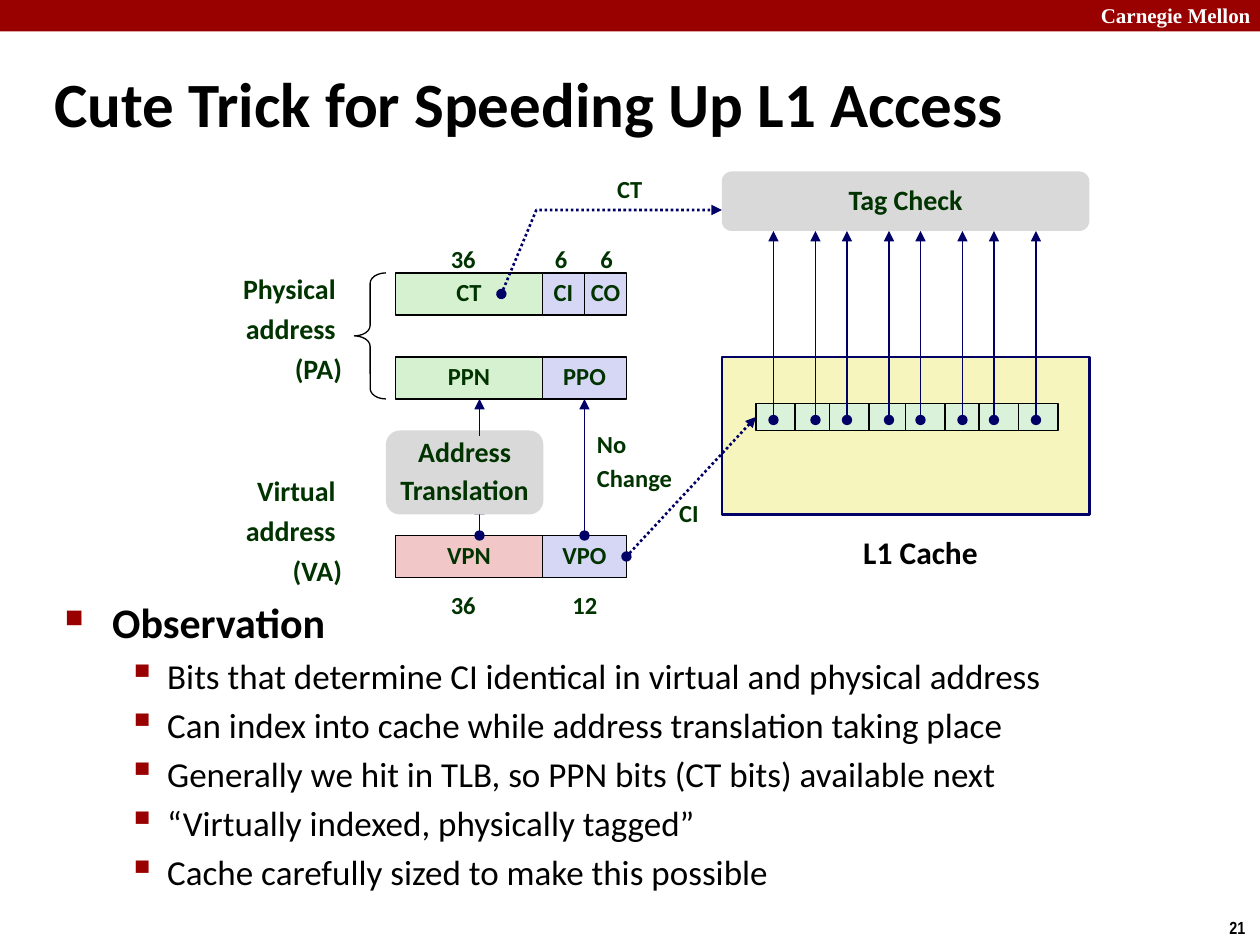
from lxml.etree import SubElement
from pptx import Presentation
from pptx.dml.color import RGBColor
from pptx.enum.dml import MSO_LINE
from pptx.enum.shapes import MSO_CONNECTOR, MSO_SHAPE
from pptx.enum.text import MSO_ANCHOR, PP_ALIGN
from pptx.oxml.ns import qn
from pptx.util import Pt

COLORS = {
    "red": "990000", "white": "FFFFFF", "black": "000000", "ink": "003300",
    "navy": "000066", "green": "D5F1CF", "blue": "D6D6F5", "pink": "F1C7C7",
    "gray": "D9D9D9", "cream": "F6F5BD", "mint": "DBF2DA",
}
LEFT, CENTER, RIGHT = PP_ALIGN.LEFT, PP_ALIGN.CENTER, PP_ALIGN.RIGHT
POINTS = [
    "Bits that determine CI identical in virtual and physical address",
    "Can index into cache while address translation taking place",
    "Generally we hit in TLB, so PPN bits (CT bits) available next",
    "“Virtually indexed, physically tagged”",
    "Cache carefully sized to make this possible",
]
TAG_X, TAG_W = 412.5, 210
TAG_END = 132
COL = 226          # left edge of the address fields
SPLIT = COL + 84   # where the page number ends and the offset starts
ROW_H = 24


def rgb(name):
    return RGBColor.from_string(COLORS[name])


def write(frame, lines, size=14, color="ink", align=LEFT, bold=True,
          face="Calibri", space=0.88, gap=5.2):
    for i, line in enumerate(lines):
        par = frame.paragraphs[0] if i == 0 else frame.add_paragraph()
        par.text = line
        par.alignment = align
        par.line_spacing = space
        par.space_before = Pt(gap if i else 0)
        font = par.font
        font.size, font.bold, font.name = Pt(size), bold, face
        font.color.rgb = rgb(color)


def add_text(slide, x, y, w, h, lines, wrap=True, anchor=MSO_ANCHOR.TOP, **style):
    frame = slide.shapes.add_textbox(Pt(x), Pt(y), Pt(w), Pt(h)).text_frame
    frame.word_wrap = wrap
    frame.vertical_anchor = anchor
    write(frame, lines, **style)


def add_box(slide, x, y, w, h, fill=None, line=None, width=0.75, lines=(),
            size=14, kind=MSO_SHAPE.RECTANGLE):
    box = slide.shapes.add_shape(kind, Pt(x), Pt(y), Pt(w), Pt(h))
    box.shadow.inherit = False
    if fill:
        box.fill.solid()
        box.fill.fore_color.rgb = rgb(fill)
    else:
        box.fill.background()
    if line:
        box.line.color.rgb = rgb(line)
        box.line.width = Pt(width)
    else:
        box.line.fill.background()
    if lines:
        box.text_frame.word_wrap = False
        box.text_frame.vertical_anchor = MSO_ANCHOR.MIDDLE
        write(box.text_frame, lines, size, align=CENTER)
    return box


def style_line(shape, dot=True, dash=False):
    """Navy line with an arrow at its end and, if dot, an oval at its start."""
    line = shape.line
    line.color.rgb = rgb("navy")
    line.width = Pt(1.5 if dash else 0.75)
    if dash:
        line.dash_style = MSO_LINE.ROUND_DOT
    xml = line._get_or_add_ln()
    if dot:
        SubElement(xml, qn("a:headEnd"), type="oval")
    SubElement(xml, qn("a:tailEnd"), type="triangle")


def add_arrow(slide, x1, y1, x2, y2, **style):
    arrow = slide.shapes.add_connector(
        MSO_CONNECTOR.STRAIGHT, Pt(x1), Pt(y1), Pt(x2), Pt(y2))
    style_line(arrow, **style)
    SubElement(arrow._element.spPr, qn("a:effectLst"))
    return arrow


def add_bullet(par, char, pct, left, hang):
    props = par._p.get_or_add_pPr()
    props.set("marL", str(Pt(left)))
    props.set("indent", str(-Pt(hang)))
    SubElement(SubElement(props, qn("a:buClr")), qn("a:srgbClr"), val=COLORS["red"])
    SubElement(props, qn("a:buSzPct"), val=str(pct * 1000))
    SubElement(props, qn("a:buChar"), char=char)


def add_list(slide):
    frame = slide.shapes.add_textbox(Pt(30), Pt(337.5), Pt(673), Pt(184.5)).text_frame
    frame.word_wrap = True
    for i, text in enumerate(["Observation"] + POINTS):
        par = frame.add_paragraph() if i else frame.paragraphs[0]
        par.text = text
        if i:
            par.level = 1
            add_bullet(par, "▪", 110, 58.5, 22.5)
        else:
            add_bullet(par, "■", 60, 27, 27)
        par.space_before = Pt(4 if i else 0)
        font = par.font
        font.size, font.bold, font.name = Pt(20 if i else 24), i == 0, "Calibri"
        font.color.rgb = rgb("black")


def add_frame(slide):
    """Top band, title and slide number."""
    add_box(slide, 0, 0, 720, 18, "red")
    add_text(slide, 622, -2, 103, 21.5, ["Carnegie Mellon"], size=12, color="white",
             face="Times New Roman", space=1)
    add_text(slide, 695.5, 520.5, 24.5, 19.5, ["21"], wrap=False, size=10,
             color="black", face="Arial Narrow", space=1)
    add_text(slide, 24, 36, 624, 45, ["Cute Trick for Speeding Up L1 Access"],
             anchor=MSO_ANCHOR.MIDDLE, size=36, color="black", space=1)


def add_field(slide, x, y, w, fill, name):
    return add_box(slide, x, y, w, ROW_H, fill, "black", lines=[name])


def add_paths(slide):
    """Address fields and the translation between them."""
    for y, kind, short in [(154, "Physical ", "(PA)"), (269.5, "Virtual ", "(VA)")]:
        add_text(slide, 118, y, 84.5, 70.5, [kind, "address ", short],
                 size=16, align=RIGHT, gap=6)
    add_field(slide, COL, 156, 84, "green", "CT")
    add_field(slide, SPLIT, 156, 24, "blue", "CI")
    add_field(slide, SPLIT + 24, 156, 24, "blue", "CO")
    add_field(slide, COL, 204, 84, "green", "PPN")
    ppo = add_field(slide, SPLIT, 204, 48, "blue", "PPO")
    add_field(slide, COL, 306, 84, "pink", "VPN")
    vpo = add_field(slide, SPLIT, 306, 48, "blue", "VPO")
    brace = add_box(slide, 202.5, 156, 18, 72, line="black", kind=MSO_SHAPE.LEFT_BRACE)
    brace.adjustments[0] = 0.33

    add_arrow(slide, 274, 306, 274, 288)
    add_box(slide, 220.5, 246, 90, 48, "gray", lines=["Address", "Translation"],
            size=16, kind=MSO_SHAPE.ROUNDED_RECTANGLE)
    add_arrow(slide, 274, 249, 274, 228, dot=False)
    same = add_arrow(slide, 334, 306, 334, 228)
    same.begin_connect(vpo, 0)
    same.end_connect(ppo, 2)

    labels = [(250.5, 138, 29, "36"), (310, 138, 21.5, "6"), (336, 138, 21.5, "6"),
              (250.5, 336, 29, "36"), (320, 336, 29, "12"),
              (381, 283.5, 26, "CI"), (345.5, 98, 29, "CT")]
    for x, y, w, text in labels:
        add_text(slide, x, y, w, 22, [text], wrap=False)
    add_text(slide, 334, 243.5, 57.5, 42.5, ["No", "Change"], wrap=False)
    return vpo


def add_cache(slide, vpo):
    add_box(slide, TAG_X, 204, TAG_W, 90, "cream", "navy", 1.5)
    add_text(slide, 478, 301, 96, 29, ["L1 Cache"], size=18, color="black",
             align=CENTER, space=1)
    cells = [add_box(slide, 432 + half + step, 230.5, 22.5, 15.5, "mint", "black", 1)
             for half in (0, 85.5) for step in (0, 22.5, 42, 64.5)]
    index = add_arrow(slide, 358, 318, 432, 240, dash=True)
    index.begin_connect(vpo, 3)
    index.end_connect(cells[0], 1)
    for pair in range(4):
        for step in (0, 24):
            x = 442 + 42 * pair + step
            add_arrow(slide, x, 240, x, TAG_END)
    add_box(slide, TAG_X, 98, TAG_W, TAG_END - 98, "gray", lines=["Tag Check"],
            size=16, kind=MSO_SHAPE.ROUNDED_RECTANGLE)

    route = slide.shapes.build_freeform(Pt(286.5), Pt(168))
    route.add_line_segments([(Pt(306.5), Pt(120)), (Pt(TAG_X), Pt(120))], close=False)
    path = route.convert_to_shape()
    path.shadow.inherit = False
    path.fill.background()
    style_line(path, dash=True)


def main():
    deck = Presentation()
    deck.slide_width, deck.slide_height = Pt(720), Pt(540)
    slide = deck.slides.add_slide(deck.slide_layouts[6])
    add_frame(slide)
    add_list(slide)
    vpo = add_paths(slide)
    add_cache(slide, vpo)
    deck.save("out.pptx")


if __name__ == "__main__":
    main()
